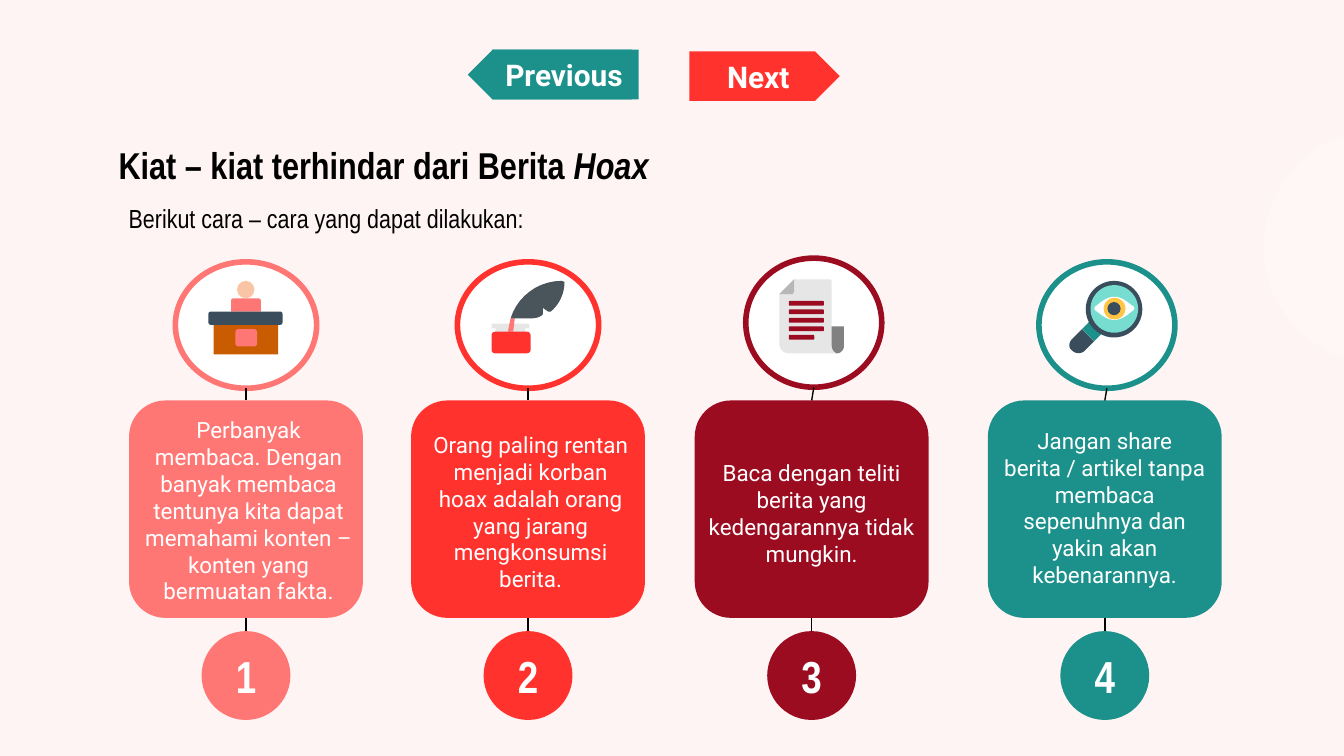
import pptx
import pptx.util
import pptx.dml.color
import pptx.enum.shapes
import pptx.enum.text
import lxml.etree
from pptx.util import Cm, Pt

SHAPES = pptx.enum.shapes.MSO_SHAPE
ALIGN = pptx.enum.text.PP_ALIGN
ANCHOR = pptx.enum.text.MSO_ANCHOR

THEME = {
    "background": "FFF4F4", "halo": "FFF6F6", "black": "000000", "white": "FFFFFF",
    "pink": "FF7774", "red": "FF322E", "maroon": "9B0C21", "teal": "1C918B",
    "skin": "FAC5A5", "wood": "C95B00", "slate": "394D5C", "feather": "49545B",
    "paper": "E6E6E6", "curl": "818181", "fold": "B7B7B7",
    "glass": "77DDD0", "iris": "FFC543",
    "heading_font": "Arial Narrow", "body_font": "Roboto",
    "title": 20, "intro": 14, "body": 12, "number": 24, "button": 16,
}

# Content. Icon parts are in cm from the card's centre line and ICON_TOP.
# A path has its start point, then points (2 values) or curves (6 values).
DESK = [
    (SHAPES.ROUND_2_SAME_RECTANGLE, "pink", (-0.28, 0.64, 0.56, 0.25)),
    (SHAPES.OVAL, "skin", (-0.17, 0.31, 0.33, 0.33)),
    (SHAPES.RECTANGLE, "wood", (-0.61, 1.12, 1.22, 0.58)),
    (SHAPES.ROUNDED_RECTANGLE, "slate", (-0.71, 0.89, 1.4, 0.25)),
    (SHAPES.ROUNDED_RECTANGLE, "pink", (-0.2, 1.22, 0.41, 0.33)),
]
QUILL = [
    (SHAPES.ROUNDED_RECTANGLE, "paper", (-0.69, 1.12, 0.71, 0.09)),
    (SHAPES.RECTANGLE, "paper", (-0.61, 1.2, 0.56, 0.1)),
    ("path", "pink", [(-0.33, 1.02), (-0.38, 1.27), (-0.28, 1.27), (-0.25, 1.02)]),
    ("path", "feather", [
        (0.64, 0.31), (0.18, 0.31, -0.2, 0.61, -0.33, 1.02), (0, 1.02),
        (0.08, 1.02, 0.18, 1.02, 0.25, 0.97), (0.28, 0.94), (0.28, 0.82),
        (0.38, 0.89), (0.43, 0.89), (0.58, 0.77, 0.69, 0.56, 0.69, 0.33)]),
    (SHAPES.ROUNDED_RECTANGLE, "red", (-0.69, 1.27, 0.74, 0.41)),
]
PAGE = [
    ("path", "curl", [
        (0.36, 1.17), (0.36, 1.55), (0.36, 1.6, 0.41, 1.68, 0.48, 1.68),
        (0.56, 1.68, 0.61, 1.6, 0.61, 1.55), (0.61, 1.17)]),
    ("path", "paper", [
        (-0.33, 0.28), (-0.61, 0.56), (-0.61, 1.5),
        (-0.61, 1.6, -0.53, 1.68, -0.43, 1.68), (0.48, 1.68),
        (0.43, 1.68, 0.38, 1.6, 0.38, 1.55), (0.38, 0.33),
        (0.38, 0.31, 0.36, 0.28, 0.33, 0.28)]),
    ("path", "fold", [(-0.33, 0.28), (-0.61, 0.56), (-0.36, 0.56), (-0.33, 0.51)]),
] + [
    (SHAPES.ROUNDED_RECTANGLE, "maroon", (-0.43, 0.69 + 0.16 * row, width, 0.09))
    for row, width in enumerate([0.66, 0.66, 0.66, 0.66, 0.48])
]
LENS = [
    ("path", "slate", [
        (-0.43, 1.22), (-0.61, 1.4), (-0.69, 1.48, -0.69, 1.58, -0.61, 1.63),
        (-0.56, 1.69, -0.43, 1.69, -0.38, 1.63), (-0.2, 1.45)]),
    ("path", "teal", [(-0.28, 1.07), (-0.43, 1.22), (-0.2, 1.45), (-0.05, 1.3)]),
    (SHAPES.OVAL, "slate", (-0.36, 0.31, 1.07, 1.07)),
    (SHAPES.OVAL, "glass", (-0.27, 0.39, 0.9, 0.9)),
    ("path", "white", [
        (0.18, 0.61), (0, 0.61, -0.15, 0.79, -0.18, 0.79), (-0.2, 0.83), (-0.18, 0.87),
        (-0.15, 0.87, 0, 1.05, 0.18, 1.05), (0.36, 1.05, 0.51, 0.87, 0.54, 0.87),
        (0.56, 0.83), (0.54, 0.79), (0.51, 0.79, 0.36, 0.61, 0.18, 0.61)]),
    (SHAPES.OVAL, "iris", (-0.02, 0.63, 0.41, 0.41)),
    (SHAPES.OVAL, "slate", (0.05, 0.71, 0.25, 0.25)),
]
# Centre, colour, ring (shift, top, width, height), text (shift, top), icon, text
CARDS = [
    (4.65, "pink", (0, 4.95, 2.67, 2.39), (0.05, 7.62), DESK,
     "Perbanyak membaca. Dengan banyak membaca tentunya kita dapat memahami "
     "konten – konten yang bermuatan fakta."),
    (9.98, "red", (0, 4.95, 2.67, 2.39), (0.05, 7.9), QUILL,
     "Orang paling rentan menjadi korban hoax adalah orang yang jarang "
     "mengkonsumsi berita."),
    (15.34, "maroon", (0.04, 4.88, 2.57, 2.44), (0, 8.43), PAGE,
     "Baca dengan teliti berita yang kedengarannya tidak mungkin."),
    (20.88, "teal", (0.04, 4.95, 2.57, 2.39), (0, 7.82), LENS,
     "Jangan share berita / artikel tanpa membaca sepenuhnya dan yakin akan "
     "kebenarannya."),
]
ICON_TOP = 5
CARD_TOP, CARD_WIDTH, CARD_HEIGHT = 7.57, 4.42, 4.11
NUMBER_TOP, NUMBER_SIZE = 11.93, 1.68


def color(name):
    return pptx.dml.color.RGBColor.from_string(THEME[name])


def paint(shape, fill, line=None):
    shape.shadow.inherit = False
    shape.fill.solid()
    shape.fill.fore_color.rgb = color(fill)
    if line:
        shape.line.color.rgb = color(line)
        shape.line.width = Pt(3)
    else:
        shape.line.fill.background()
    return shape


def add_shape(kind, box, fill, line=None):
    return paint(slide.shapes.add_shape(kind, *map(Cm, box)), fill, line)


def write(shape, pieces, size, font, ink="white", bold=False,
          align=ALIGN.CENTER, anchor=ANCHOR.MIDDLE):
    frame = shape.text_frame
    frame.word_wrap = True
    frame.vertical_anchor = anchor
    paragraph = frame.paragraphs[0]
    paragraph.alignment = align
    for text, italic in pieces:
        run = paragraph.add_run()
        run.text = text
        run.font.name = THEME[font]
        run.font.size = Pt(THEME[size])
        run.font.color.rgb = color(ink)
        run.font.bold = bold
        run.font.italic = italic


def add_text(box, pieces, size, font, **options):
    shape = slide.shapes.add_textbox(*map(Cm, box))
    frame = shape.text_frame
    frame.margin_left = frame.margin_right = Cm(0.25)
    frame.margin_top = frame.margin_bottom = Cm(0.25)
    write(shape, pieces, size, font, **options)


def add_line(start, end):
    line = slide.shapes.add_connector(
        pptx.enum.shapes.MSO_CONNECTOR.STRAIGHT, *map(Cm, start + end))
    line.line.color.rgb = color("black")
    line.line.width = Pt(0.75)
    properties = line._element.spPr
    lxml.etree.SubElement(properties, pptx.oxml.ns.qn("a:effectLst"))


def add_path(steps, fill, left, top):
    points = [steps[0]]
    for step in steps[1:]:
        if len(step) == 2:
            points.append(step)
            continue
        corners = [points[-1], step[:2], step[2:4], step[4:]]
        for t in (count / 10 for count in range(1, 11)):
            weights = ((1 - t) ** 3, 3 * t * (1 - t) ** 2, 3 * t * t * (1 - t), t ** 3)
            points.append(tuple(
                sum(w * corner[axis] for w, corner in zip(weights, corners))
                for axis in (0, 1)))
    placed = [(Cm(left + x), Cm(top + y)) for x, y in points]
    builder = slide.shapes.build_freeform(*placed[0])
    builder.add_line_segments(placed[1:], close=True)
    paint(builder.convert_to_shape(), fill)


presentation = pptx.Presentation()
presentation.slide_width, presentation.slide_height = Cm(25.4), Cm(14.29)
slide = presentation.slides.add_slide(presentation.slide_layouts[6])
slide.background.fill.solid()
slide.background.fill.fore_color.rgb = color("background")
add_shape(SHAPES.OVAL, (23.88, 2.44, 4.52, 4.45), "halo")

# Headings
add_text((1.6, 2.44, 11.3, 1.14),
         [("Kiat – kiat terhindar dari Berita ", False), ("Hoax", True)],
         "title", "heading_font", ink="black", bold=True, anchor=ANCHOR.TOP)
add_text((-0.46, 3.63, 13.26, 0.97), [("Berikut cara – cara yang dapat dilakukan:", False)],
         "intro", "heading_font", ink="black")

# Cards with ring, icon, text and number
for number, (center, tint, ring, text_place, icon, text) in enumerate(CARDS, 1):
    shift, ring_top, ring_width, ring_height = ring
    card_bottom = CARD_TOP + CARD_HEIGHT
    left = center - CARD_WIDTH / 2
    add_shape(SHAPES.ROUNDED_RECTANGLE, (left, CARD_TOP, CARD_WIDTH, CARD_HEIGHT), tint)
    add_shape(SHAPES.OVAL, (center + shift - ring_width / 2, *ring[1:]), "white", tint)
    add_line((center, CARD_TOP), (center + shift, ring_top + ring_height))
    add_line((center, card_bottom), (center, NUMBER_TOP))
    badge = add_shape(SHAPES.OVAL, (center - NUMBER_SIZE / 2, NUMBER_TOP,
                                    NUMBER_SIZE, NUMBER_SIZE), tint)
    write(badge, [(str(number), False)], "number", "heading_font", bold=True)
    add_text((left + text_place[0], text_place[1], CARD_WIDTH, 2.49), [(text, False)],
             "body", "body_font", anchor=ANCHOR.TOP)
    for kind, fill, geometry in icon:
        if kind == "path":
            add_path(geometry, fill, center, ICON_TOP)
        else:
            x, y, width, height = geometry
            add_shape(kind, (center + x, ICON_TOP + y, width, height), fill)

# Navigation buttons
next_button = add_shape(SHAPES.PENTAGON, (13.03, 0.97, 2.84, 0.94), "red")
write(next_button, [("Next", False)], "button", "body_font", bold=True)
add_shape(SHAPES.PENTAGON, (8.84, 0.94, 3.1, 0.94), "teal").rotation = 180
previous_label = add_shape(SHAPES.RECTANGLE, (9.3, 0.94, 2.77, 0.94), "teal")
write(previous_label, [("Previous", False)], "button", "body_font", bold=True,
      align=ALIGN.LEFT)

presentation.save("out.pptx")
